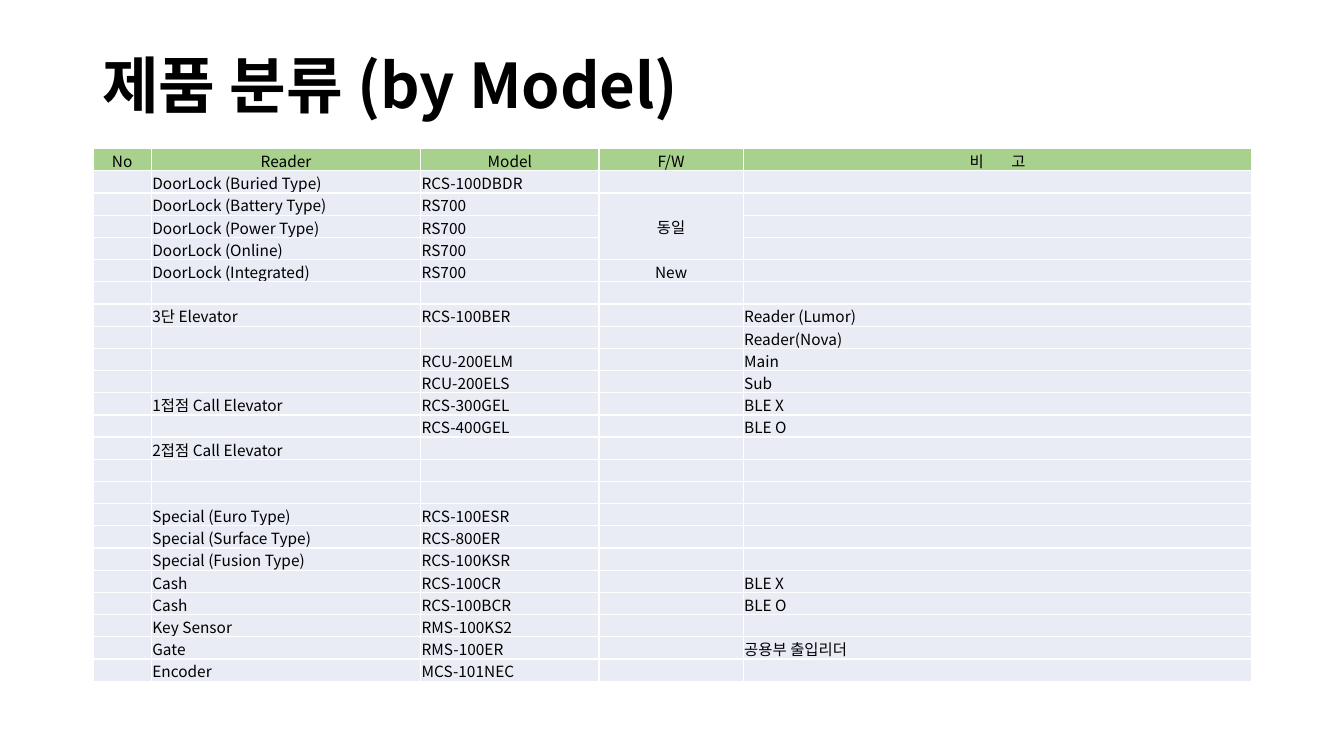
from lxml.etree import SubElement
from pptx import Presentation
from pptx.dml.color import RGBColor
from pptx.enum.text import MSO_ANCHOR as Anchor, PP_ALIGN as Align
from pptx.oxml.ns import qn
from pptx.util import Pt

THEME = {
    "font": "Noto Sans CJK KR",
    "title_size": 44,
    "table_size": 11,
    "text": RGBColor.from_string("000000"),
    "header": RGBColor.from_string("A9D18E"),
    "body": RGBColor.from_string("E9EBF5"),
    "border": "FFFFFF",
}
COLUMN_WIDTHS = [41.76, 192.4, 127.4, 103, 363.44]
ROW_HEIGHT = 15.87
NOTE_GAP = 17.2
CENTERED_COLUMN = 3
ROWS = [
    ("No", "Reader", "Model", "F/W", "비 고"),
    ("", "DoorLock (Buried Type)", "RCS-100DBDR", "", ""),
    ("", "DoorLock (Battery Type)", "RS700", "동일", ""),
    ("", "DoorLock (Power Type)", "RS700", "", ""),
    ("", "DoorLock (Online)", "RS700", "", ""),
    ("", "DoorLock (Integrated)", "RS700", "New", ""),
    ("", "", "", "", ""),
    ("", "3단 Elevator", "RCS-100BER", "", "Reader (Lumor)"),
    ("", "", "", "", "Reader(Nova)"),
    ("", "", "RCU-200ELM", "", "Main"),
    ("", "", "RCU-200ELS", "", "Sub"),
    ("", "1접점 Call Elevator", "RCS-300GEL", "", "BLE X"),
    ("", "", "RCS-400GEL", "", "BLE O"),
    ("", "2접점 Call Elevator", "", "", ""),
    ("", "", "", "", ""),
    ("", "", "", "", ""),
    ("", "Special (Euro Type)", "RCS-100ESR", "", ""),
    ("", "Special (Surface Type)", "RCS-800ER", "", ""),
    ("", "Special (Fusion Type)", "RCS-100KSR", "", ""),
    ("", "Cash", "RCS-100CR", "", "BLE X"),
    ("", "Cash", "RCS-100BCR", "", "BLE O"),
    ("", "Key Sensor", "RMS-100KS2", "", ""),
    ("", "Gate", "RMS-100ER", "", "공용부 출입리더"),
    ("", "Encoder", "MCS-101NEC", "", ""),
]


def add_span(para, text, size, bold=False):
    span = para.add_run()
    span.text = text
    for name, value in {"name": THEME["font"], "size": Pt(size), "bold": bold}.items():
        setattr(span.font, name, value)
    span.font.color.rgb = THEME["text"]
    SubElement(span.font._element, qn("a:ea"), typeface=THEME["font"])
    return span


def add_borders(cell):
    properties = cell._tc.get_or_add_tcPr()
    for side in ("a:lnL", "a:lnR", "a:lnT", "a:lnB"):
        line = SubElement(properties, qn(side), w=str(Pt(1)))
        fill = SubElement(line, qn("a:solidFill"))
        SubElement(fill, qn("a:srgbClr"), val=THEME["border"])


deck = Presentation()
deck.slide_width, deck.slide_height = Pt(960), Pt(540)
page = deck.slides.add_slide(deck.slide_layouts[6])

title_box = page.shapes.add_textbox(Pt(66), Pt(28.75), Pt(828), Pt(69))
for name, value in {"word_wrap": True, "vertical_anchor": Anchor.MIDDLE}.items():
    setattr(title_box.text_frame, name, value)
title_para = title_box.text_frame.paragraphs[0]
title_para.line_spacing = 0.9
add_span(title_para, "제품 분류 (by Model)", THEME["title_size"], True)

frame = page.shapes.add_table(
    len(ROWS), len(COLUMN_WIDTHS), Pt(66.4), Pt(106.2),
    Pt(sum(COLUMN_WIDTHS)), Pt(ROW_HEIGHT * len(ROWS)),
)
table = frame.table
for name, value in {"first_row": False, "horz_banding": False}.items():
    setattr(table, name, value)
for column, width in zip(table.columns, COLUMN_WIDTHS):
    column.width = Pt(width)

cell_format = {
    "vertical_anchor": Anchor.MIDDLE,
    "margin_left": Pt(0.7),
    "margin_right": Pt(0.7),
    "margin_top": Pt(0.7),
    "margin_bottom": Pt(0),
}
for row_index, texts in enumerate(ROWS):
    table.rows[row_index].height = Pt(ROW_HEIGHT)
    is_header = row_index == 0
    for column_index, text in enumerate(texts):
        cell = table.cell(row_index, column_index)
        for name, value in cell_format.items():
            setattr(cell, name, value)
        add_borders(cell)
        cell.fill.solid()
        cell.fill.fore_color.rgb = THEME["header" if is_header else "body"]
        para = cell.text_frame.paragraphs[0]
        if is_header or column_index == CENTERED_COLUMN:
            para.alignment = Align.CENTER
        if is_header and " " in text:
            for letter in text:
                span = add_span(para, letter, THEME["table_size"])
                if letter == " ":
                    span.font._element.set("spc", str(round(NOTE_GAP * 100)))
        elif text:
            add_span(para, text, THEME["table_size"])
        ending = SubElement(para._p, qn("a:endParaRPr"), sz=str(THEME["table_size"] * 100))
        for script in ("a:latin", "a:ea"):
            SubElement(ending, qn(script), typeface=THEME["font"])

table.cell(2, CENTERED_COLUMN).merge(table.cell(4, CENTERED_COLUMN))

deck.save("out.pptx")
